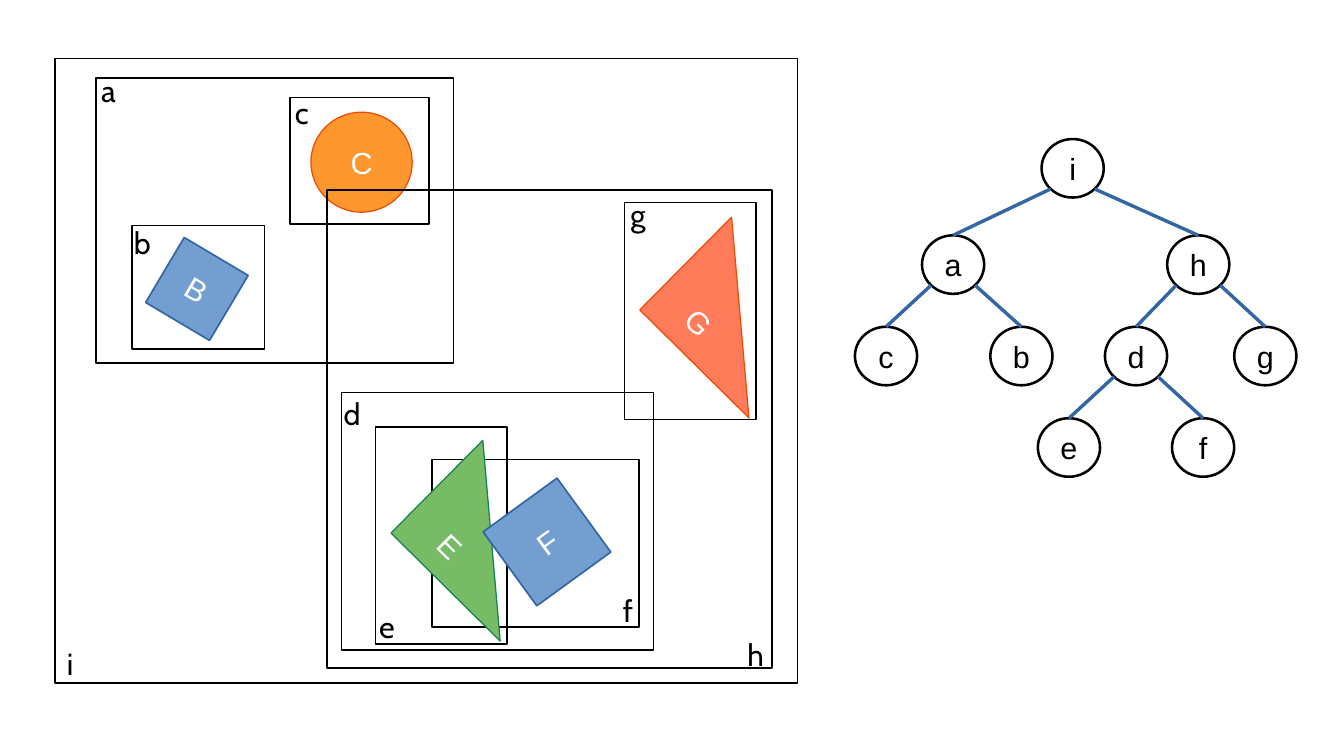
from math import sqrt

from lxml import etree
from pptx import Presentation
from pptx.dml.color import RGBColor
from pptx.enum.shapes import MSO_CONNECTOR, MSO_SHAPE
from pptx.enum.text import MSO_ANCHOR, MSO_AUTO_SIZE, PP_ALIGN
from pptx.oxml.ns import qn
from pptx.util import Inches, Pt

RECTANGLE, OVAL = MSO_SHAPE.RECTANGLE, MSO_SHAPE.OVAL
TRIANGLE = MSO_SHAPE.RIGHT_TRIANGLE
STRAIGHT = MSO_CONNECTOR.STRAIGHT
CENTER, LEFT = PP_ALIGN.CENTER, PP_ALIGN.LEFT
MIDDLE, TOP = MSO_ANCHOR.MIDDLE, MSO_ANCHOR.TOP
FIT_SHAPE = MSO_AUTO_SIZE.SHAPE_TO_FIT_TEXT

BLACK, WHITE = "000000", "FFFFFF"
BLUE, DARK_BLUE = "729FCF", "3465A4"

INNER_BOXES = [
    (3.54, 3.77, 1.7, 1.37),
    (1.08, 1.85, 1.09, 1.01),
    (3.08, 3.5, 1.08, 1.78),
    (2.38, 0.8, 1.14, 1.04),
    (5.12, 1.66, 1.08, 1.78),
]
OUTER_BOXES = [
    (2.8, 3.22, 2.56, 2.11),
    (2.68, 1.56, 3.65, 3.92),
    (0.79, 0.64, 2.93, 2.34),
    (0.45, 0.48, 6.09, 5.12),
]
FIGURES = [
    ("E", TRIANGLE, (3.4, 3.9, 1.26, 1.07), 44.7, "77BC65", "168253", 0),
    ("F", RECTANGLE, (4.11, 4.07, 0.75, 0.75), 324, BLUE, DARK_BLUE, 1),
    ("C", OVAL, (2.55, 0.92, 0.83, 0.82), 0, "FF972F", "ED4C05", 0),
    ("G", TRIANGLE, (5.44, 2.07, 1.26, 1.07), 44.7, "FF7B59", "ED4C05", 0),
    ("B", RECTANGLE, (1.31, 2.06, 0.61, 0.62), 30.7, BLUE, DARK_BLUE, 1),
]
BOX_LABELS = [
    ("a", 0.73, 0.54, 0.35),
    ("b", 1, 1.79, 0.36),
    ("c", 2.32, 0.72, 0.33),
    ("d", 2.72, 3.19, 0.36),
    ("e", 3.01, 4.94, 0.35),
    ("f", 5.01, 4.81, 0.29),
    ("g", 5.07, 1.56, 0.36),
    ("h", 6.03, 5.17, 0.36),
    ("i", 0.45, 5.24, 0.27),
]
LABEL_HEIGHT = 0.39
TREE_NODES = {
    "i": (8.54, 1.14),
    "a": (7.56, 1.93),
    "h": (9.57, 1.93),
    "c": (7.01, 2.68),
    "b": (8.12, 2.68),
    "d": (9.06, 2.68),
    "g": (10.12, 2.68),
    "e": (8.51, 3.43),
    "f": (9.61, 3.43),
}
TREE_EDGES = ["ia", "ih", "ac", "ab", "hd", "hg", "de", "df"]
NODE_WIDTH, NODE_HEIGHT = 0.51, 0.48


def color(value):
    return RGBColor.from_string(value)


def add_text(shape, text, font="Arial", text_color=WHITE, align=CENTER,
             anchor=MIDDLE, insets=(0.1, 0.05), wrap=True):
    frame = shape.text_frame
    frame.word_wrap = wrap
    frame.vertical_anchor = anchor
    frame.margin_left = frame.margin_right = Inches(insets[0])
    frame.margin_top = frame.margin_bottom = Inches(insets[1])
    paragraph = frame.paragraphs[0]
    paragraph.alignment = align
    run = paragraph.add_run()
    run.text = text
    run.font.name = font
    run.font.size = Pt(18)
    run.font.color.rgb = color(text_color)


def add_outline(slide, kind, bounds, fill=None, line=BLACK, width=1):
    shape = slide.shapes.add_shape(kind, *map(Inches, bounds))
    shape.shadow.inherit = False
    if fill:
        shape.fill.solid()
        shape.fill.fore_color.rgb = color(fill)
    else:
        shape.fill.background()
    shape.line.color.rgb = color(line)
    shape.line.width = Pt(width)
    return shape


def add_figure(slide, text, kind, bounds, rotation, fill, line, width):
    shape = add_outline(slide, kind, bounds, fill, line, width)
    shape.rotation = rotation
    add_text(shape, text, insets=(0.11, 0.06) if width else (0.1, 0.05))


def add_label(slide, text, left, top, width):
    box = slide.shapes.add_textbox(*map(Inches, (left, top, width, LABEL_HEIGHT)))
    add_text(box, text, font="Cabin", text_color=BLACK, align=LEFT,
             anchor=TOP, wrap=False)
    box.text_frame.auto_size = FIT_SHAPE


def add_edge(slide, parent, child):
    child_center = child.left + child.width // 2
    parent_center = parent.left + parent.width // 2
    side = 1 if child_center > parent_center else -1
    start_x = int(parent_center + side * parent.width / 2 / sqrt(2))
    start_y = int(parent.top + parent.height / 2 * (1 + 1 / sqrt(2)))
    edge = slide.shapes.add_connector(
        STRAIGHT, start_x, start_y, child_center, child.top)
    edge.end_connect(child, 0)
    edge.line.color.rgb = color(DARK_BLUE)
    edge.line.width = Pt(0)
    etree.SubElement(edge._element.spPr, qn("a:effectLst"))


def main():
    presentation = Presentation()
    presentation.slide_width = Inches(11.02)
    presentation.slide_height = Inches(6.2)
    slide = presentation.slides.add_slide(presentation.slide_layouts[6])

    for bounds in INNER_BOXES:
        add_outline(slide, RECTANGLE, bounds)
    for figure in FIGURES:
        add_figure(slide, *figure)
    for bounds in OUTER_BOXES:
        add_outline(slide, RECTANGLE, bounds)
    for label in BOX_LABELS:
        add_label(slide, *label)

    nodes = {}
    for name, (left, top) in TREE_NODES.items():
        bounds = (left, top, NODE_WIDTH, NODE_HEIGHT)
        nodes[name] = add_outline(slide, OVAL, bounds, width=1.5)
        add_text(nodes[name], name, text_color=BLACK, insets=(0.11, 0.06))
    for parent, child in TREE_EDGES:
        add_edge(slide, nodes[parent], nodes[child])

    presentation.save("out.pptx")


if __name__ == "__main__":
    main()
